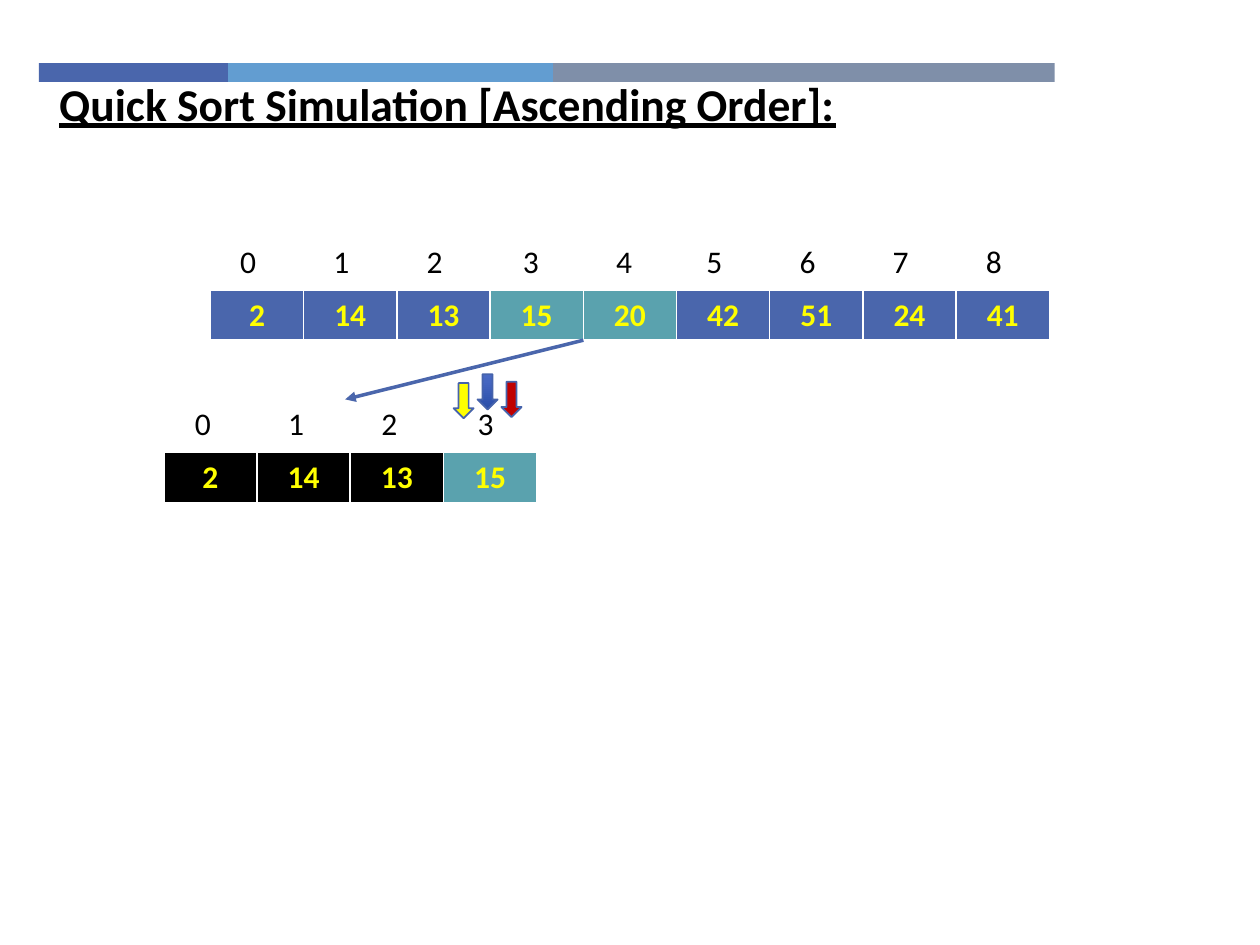
from pptx import Presentation
from pptx import util as u
from pptx.dml.color import RGBColor
from pptx.enum import shapes, text
from pptx.oxml import parse_xml
from pptx.oxml.ns import nsdecls, qn

BLUE = RGBColor(0x4A, 0x66, 0xAC)
SKY = RGBColor(0x62, 0x9D, 0xD1)
SLATE = RGBColor(0x7F, 0x8F, 0xA9)
TEAL = RGBColor(0x5A, 0xA2, 0xAE)
BLACK = RGBColor(0, 0, 0)
YELLOW = RGBColor(0xFF, 0xFF, 0)
RED = RGBColor(0xC0, 0, 0)
MARKER_EDGE = RGBColor(0x46, 0x63, 0xAB)
GRADIENT = (RGBColor(0x2A, 0x4E, 0xA8), RGBColor(0x4B, 0x6B, 0xC6))
FONT = "Calibri"
CELL_WIDTH = 0.74
INDEX_WIDTHS = [0.74, 0.74, 0.74, 0.79, 0.69, 0.74, 0.74, 0.74, 0.74]


def add_band(slide, left, top, height):
    """Place the three-coloured band above the title."""
    for width, color in ((1.5, BLUE), (2.58, SKY), (3.98, SLATE)):
        segment = slide.shapes.add_shape(
            shapes.MSO_SHAPE.RECTANGLE, u.Inches(left), u.Inches(top),
            u.Inches(width), u.Inches(height))
        segment.shadow.inherit = False
        segment.fill.solid()
        segment.fill.fore_color.rgb = color
        segment.line.fill.background()
        left += width


def set_title(slide, left, top, width, height):
    """Move and format the title placeholder."""
    title = slide.shapes.title
    title.left, title.top = u.Inches(left), u.Inches(top)
    title.width, title.height = u.Inches(width), u.Inches(height)
    frame = title.text_frame
    frame.text = "Quick Sort Simulation [Ascending Order]:"
    frame.auto_size = text.MSO_AUTO_SIZE.NONE
    frame.vertical_anchor = text.MSO_ANCHOR.TOP
    heading = frame.paragraphs[0]
    heading.alignment = text.PP_ALIGN.LEFT
    heading.space_before = u.Pt(20)
    font = heading.font
    font.name, font.size = FONT, u.Pt(26)
    font.bold = font.underline = True
    font.color.rgb = BLACK


def add_row(slide, left, top, height, widths, entries, color, bold):
    """Add a one-row table of centred entries and return its cells."""
    table = slide.shapes.add_table(
        1, len(entries), u.Inches(left), u.Inches(top),
        u.Inches(sum(widths)), u.Inches(height)).table
    table.first_row = table.horz_banding = False
    for column, width in zip(table.columns, widths):
        column.width = u.Inches(width)
    cells = list(table.iter_cells())
    for cell, entry in zip(cells, entries):
        cell.text = str(entry)
        cell.fill.background()
        paragraph = cell.text_frame.paragraphs[0]
        paragraph.alignment = text.PP_ALIGN.CENTER
        font = paragraph.font
        font.name, font.size, font.bold = FONT, u.Pt(18), bold
        font.color.rgb = color
    return cells


def add_borders(cell):
    """Give a cell white borders with a thicker bottom edge."""
    properties = cell._tc.get_or_add_tcPr()
    edges = (("lnL", 1), ("lnR", 1), ("lnT", 1), ("lnB", 3))
    for position, (edge, points) in enumerate(edges):
        properties.insert(position, parse_xml(
            f'<a:{edge} {nsdecls("a")} w="{u.Pt(points)}"><a:solidFill>'
            f'<a:srgbClr val="FFFFFF"/></a:solidFill></a:{edge}>'))


def add_array(slide, left, top, index_left, index_top, values, base, highlighted):
    """Add an array of values with its row of indices above."""
    count = len(values)
    cells = add_row(slide, left, top, 0.41, [CELL_WIDTH] * count, values, YELLOW, True)
    for index, cell in enumerate(cells):
        cell.fill.solid()
        cell.fill.fore_color.rgb = TEAL if index in highlighted else base
        add_borders(cell)
    for cell in add_row(slide, index_left, index_top, 0.4,
                        INDEX_WIDTHS[:count], range(count), BLACK, False):
        cell.vertical_anchor = text.MSO_ANCHOR.MIDDLE


def add_split_arrow(slide, start, end):
    """Draw the arrow from the full array to its left part."""
    arrow = slide.shapes.add_connector(
        shapes.MSO_CONNECTOR.STRAIGHT, *map(u.Inches, start + end))
    arrow.line.color.rgb = BLUE
    arrow.line.width = u.Pt(2)
    arrow.line._get_or_add_ln().append(
        parse_xml(f'<a:tailEnd {nsdecls("a")} type="triangle"/>'))
    arrow._element.spPr.append(
        arrow._element.makeelement(qn("a:effectLst"), {}))


def add_marker(slide, left, top, color=None):
    """Add a small down arrow, with a blue gradient when no colour is given."""
    marker = slide.shapes.add_shape(
        shapes.MSO_SHAPE.DOWN_ARROW, u.Inches(left), u.Inches(top),
        u.Inches(0.16), u.Inches(0.28))
    marker.shadow.inherit = False
    marker.line.color.rgb = MARKER_EDGE
    marker.line.width = u.Pt(1)
    if color is not None:
        marker.fill.solid()
        marker.fill.fore_color.rgb = color
        return
    marker.fill.gradient()
    marker.fill.gradient_angle = 90
    for stop, shade, position in zip(marker.fill.gradient_stops, GRADIENT, (0, 1)):
        stop.color.rgb = shade
        stop.position = position


def main():
    """Build the slide and save it."""
    deck = Presentation()
    deck.slide_width, deck.slide_height = u.Inches(10), u.Inches(7.5)
    slide = deck.slides.add_slide(deck.slide_layouts[5])
    add_band(slide, 0.31, 0.5, 0.15)
    set_title(slide, 0.37, 0.55, 7.16, 0.54)
    add_array(slide, 1.67, 2.3, 1.6, 1.88,
              [2, 14, 13, 15, 20, 42, 51, 24, 41], BLUE, {3, 4})
    add_array(slide, 1.3, 3.59, 1.24, 3.17, [2, 14, 13, 15], BLACK, {3})
    add_split_arrow(slide, (4.63, 2.7), (2.74, 3.17))
    add_marker(slide, 3.98, 3.03, RED)
    add_marker(slide, 3.6, 3.04, YELLOW)
    add_marker(slide, 3.79, 2.97)
    deck.save("out.pptx")


if __name__ == "__main__":
    main()
